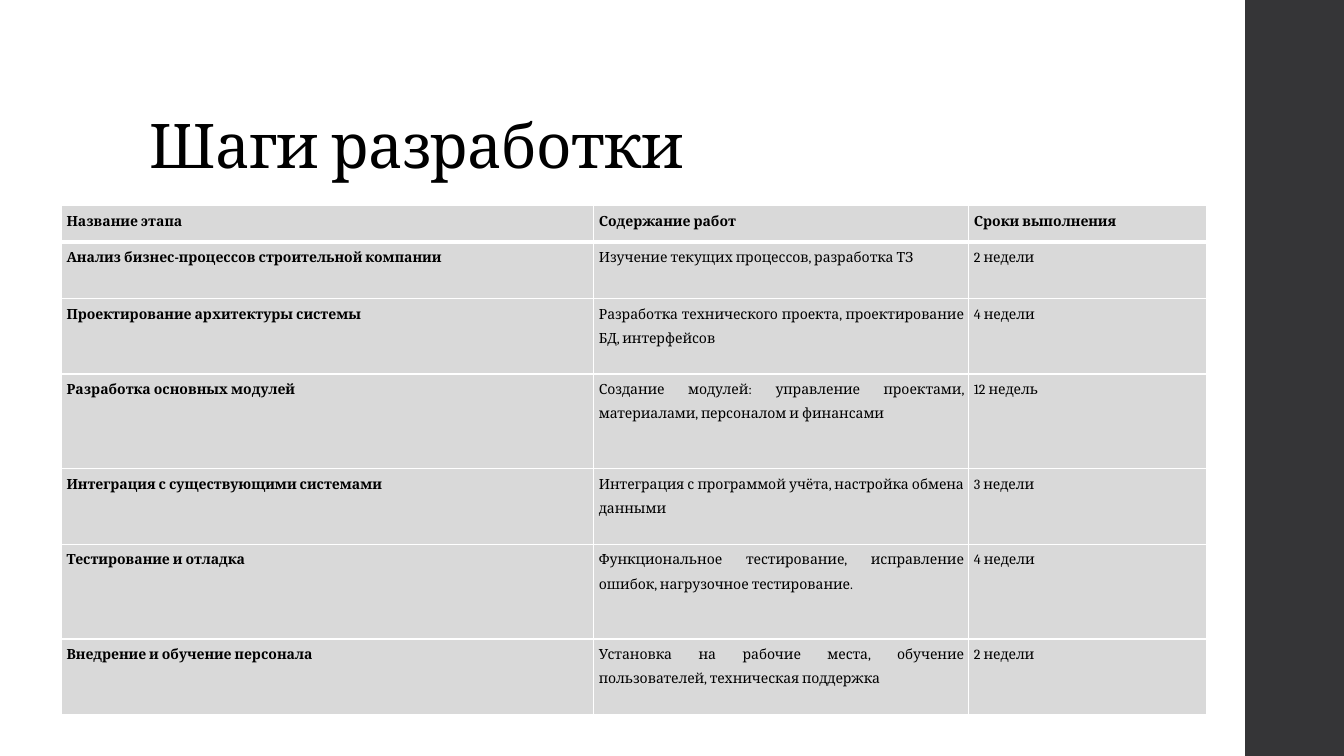
import pptx
import pptx.dml.color
import pptx.enum.shapes
import pptx.enum.text
import pptx.oxml.ns
import pptx.util
import lxml.etree

Inches = pptx.util.Inches
Pt = pptx.util.Pt


def color(hex_code):
    return pptx.dml.color.RGBColor.from_string(hex_code)


def add_border(cell, side, points):
    properties = cell._tc.get_or_add_tcPr()
    line = lxml.etree.SubElement(
        properties, pptx.oxml.ns.qn("a:ln" + side), w=str(Pt(points)))
    fill = lxml.etree.SubElement(line, pptx.oxml.ns.qn("a:solidFill"))
    lxml.etree.SubElement(fill, pptx.oxml.ns.qn("a:srgbClr"), val="FFFFFF")


presentation = pptx.Presentation()
presentation.slide_width = Inches(13.33)
presentation.slide_height = Inches(7.5)
slide = presentation.slides.add_slide(presentation.slide_layouts[5])

# Dark band on the right
side_band = slide.shapes.add_shape(
    pptx.enum.shapes.MSO_SHAPE.RECTANGLE,
    Inches(12.35), Inches(0), Inches(1), Inches(7.5))
side_band.shadow.inherit = False
side_band.fill.solid()
side_band.fill.fore_color.rgb = color("353537")
side_band.line.fill.background()

# Title
title = slide.shapes.title
title.left, title.top = Inches(1.38), Inches(0.4)
title.width, title.height = Inches(10.6), Inches(1.45)
title.text_frame.word_wrap = True
title.text_frame.auto_size = pptx.enum.text.MSO_AUTO_SIZE.NONE
title.text_frame.vertical_anchor = pptx.enum.text.MSO_ANCHOR.BOTTOM
heading = title.text_frame.paragraphs[0]
heading.alignment = pptx.enum.text.PP_ALIGN.LEFT
heading.line_spacing = 0.9
heading_run = heading.add_run()
heading_run.text = "Шаги разработки"
heading_run.font.name = "Cambria"
heading_run.font.size = Pt(44)
heading_run.font.color.rgb = color("000000")
heading_run._r.get_or_add_rPr().set("spc", "-50")

# Development stages: name, work, duration
stages = [
    ("Название этапа", "Содержание работ", "Сроки выполнения"),
    ("Анализ бизнес-процессов строительной компании",
     "Изучение текущих процессов, разработка ТЗ", "2 недели"),
    ("Проектирование архитектуры системы",
     "Разработка технического проекта, проектирование БД, интерфейсов",
     "4 недели"),
    ("Разработка основных модулей",
     "Создание модулей: управление проектами, материалами, персоналом и финансами",
     "12 недель"),
    ("Интеграция с существующими системами",
     "Интеграция с программой учёта, настройка обмена данными", "3 недели"),
    ("Тестирование и отладка",
     "Функциональное тестирование, исправление ошибок, нагрузочное тестирование.",
     "4 недели"),
    ("Внедрение и обучение персонала",
     "Установка на рабочие места, обучение пользователей, техническая поддержка",
     "2 недели"),
]
column_widths = [5.28, 3.72, 2.36]
row_heights = [0.36, 0.56, 0.75, 0.94, 0.75, 0.94, 0.75]

schedule = slide.shapes.add_table(
    len(stages), len(column_widths), Inches(0.61), Inches(2.04),
    Inches(sum(column_widths)), Inches(sum(row_heights))).table
schedule.horz_banding = False
for column, width in zip(schedule.columns, column_widths):
    column.width = Inches(width)
for row, height in zip(schedule.rows, row_heights):
    row.height = Inches(height)

for row_index, stage in enumerate(stages):
    for column_index, wording in enumerate(stage):
        cell = schedule.cell(row_index, column_index)
        cell.margin_left = cell.margin_right = Inches(0.05)
        cell.margin_top = cell.margin_bottom = Inches(0)

        # White grid, thicker under the header row
        add_border(cell, "L", 1)
        add_border(cell, "R", 1)
        add_border(cell, "T", 3 if row_index == 1 else 1)
        add_border(cell, "B", 3 if row_index == 0 else 1)
        cell.fill.solid()
        cell.fill.fore_color.rgb = color("D9D9D9")

        paragraph = cell.text_frame.paragraphs[0]
        paragraph.alignment = pptx.enum.text.PP_ALIGN.JUSTIFY
        paragraph.line_spacing = 1.5
        run = paragraph.add_run()
        run.text = wording
        run.font.name = "Cambria"
        run.font.size = Pt(10)
        run.font.bold = row_index == 0 or column_index == 0
        run.font.color.rgb = color("000000")

presentation.save("out.pptx")
